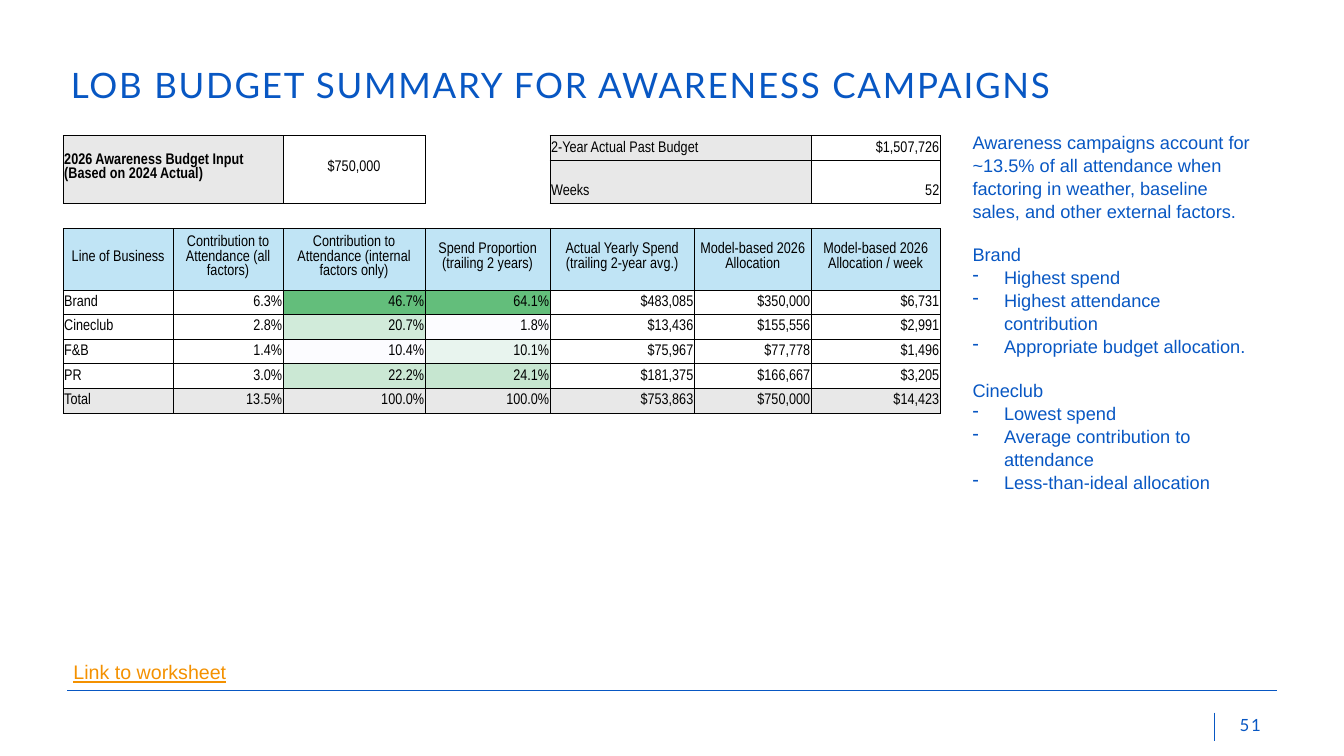
from lxml import etree
from pptx import Presentation
from pptx.dml.color import RGBColor
from pptx.enum.shapes import MSO_CONNECTOR
from pptx.enum.text import MSO_ANCHOR, PP_ALIGN
from pptx.oxml.ns import qn
from pptx.util import Pt

LEFT, MID, RIGHT, JUST = PP_ALIGN.LEFT, PP_ALIGN.CENTER, PP_ALIGN.RIGHT, PP_ALIGN.JUSTIFY
CENTER, LOW, TOP = MSO_ANCHOR.MIDDLE, MSO_ANCHOR.BOTTOM, MSO_ANCHOR.TOP
STRAIGHT = MSO_CONNECTOR.STRAIGHT
PLAIN = "{2D5ABB26-0587-4C30-8999-92F81FD0307C}"

# Content
COLORS = {"blue": "0857C3", "link": "F49100", "ink": "000000", "white": "FFFFFF",
          "gray": "E8E8E8", "head": "C0E4F5"}
TITLE = "LOB BUDGET SUMMARY FOR AWARENESS CAMPAIGNS"
LINK = "Link to worksheet"
PAGE = "51"
INTRO = ("Awareness campaigns account for ~13.5% of all attendance when factoring in "
         "weather, baseline sales, and other external factors.")
NOTES = [
    (INTRO, []),
    ("Brand", ["Highest spend", "Highest attendance contribution",
               "Appropriate budget allocation."]),
    ("Cineclub", ["Lowest spend", "Average contribution to attendance",
                  "Less-than-ideal allocation"]),
]
ROWS = [
    ["2026 Awareness Budget Input\n(Based on 2024 Actual)", "", "$750,000", "",
     "2-Year Actual Past Budget", "", "$1,507,726"],
    ["", "", "", "", "Weeks", "", "52"],
    [""] * 7,
    ["Line of Business", "Contribution to Attendance (all factors)",
     "Contribution to Attendance (internal factors only)",
     "Spend Proportion (trailing 2 years)",
     "Actual Yearly Spend (trailing 2-year avg.)",
     "Model-based 2026 Allocation", "Model-based 2026 Allocation / week"],
    ["Brand", "6.3%", "46.7%", "64.1%", "$483,085", "$350,000", "$6,731"],
    ["Cineclub", "2.8%", "20.7%", "1.8%", "$13,436", "$155,556", "$2,991"],
    ["F&B", "1.4%", "10.4%", "10.1%", "$75,967", "$77,778", "$1,496"],
    ["PR", "3.0%", "22.2%", "24.1%", "$181,375", "$166,667", "$3,205"],
    ["Total", "13.5%", "100.0%", "100.0%", "$753,863", "$750,000", "$14,423"],
]
HEAT = {(4, 2): "63BE7B", (4, 3): "63BE7B", (5, 2): "D1EBDA", (5, 3): "FCFCFF",
        (6, 2): "FCFCFF", (6, 3): "E8F4EE", (7, 2): "CBE8D4", (7, 3): "C6E6D0"}
WIDTHS = [78.5, 78.5, 101.5, 89.3, 103, 83.5, 92.2]
HEIGHTS = [17.8, 30.8, 17.8, 43.6] + [17.6] * 5
MERGES = [(0, 0, 1, 1), (0, 2, 1, 2), (0, 4, 0, 5), (1, 4, 1, 5)]
GAPS = {(0, 3), (1, 3)} | {(2, c) for c in range(7)}
HEAD, TOTAL = 3, 8

deck = Presentation()
deck.slide_width, deck.slide_height = Pt(960), Pt(540)
slide = deck.slides.add_slide(deck.slide_layouts[6])


def rgb(name):
    return RGBColor.from_string(COLORS.get(name, name))


def style(par, size, face, color):
    par.font.size, par.font.name = Pt(size), face
    par.font.color.rgb = rgb(color)


def add_box(x, y, w, h, anchor=TOP, wrap=True):
    frame = slide.shapes.add_textbox(Pt(x), Pt(y), Pt(w), Pt(h)).text_frame
    frame.word_wrap, frame.vertical_anchor = wrap, anchor
    return frame


def add_label(frame, text, size, face, color, track=0):
    par = frame.paragraphs[0]
    par.text = text
    style(par, size, face, color)
    if track:
        par.runs[0]._r.get_or_add_rPr().set("spc", str(track))
    return par


def add_rule(x1, y1, x2, y2):
    rule = slide.shapes.add_connector(STRAIGHT, Pt(x1), Pt(y1), Pt(x2), Pt(y2))
    rule.line.color.rgb, rule.line.width = rgb("blue"), Pt(0.75)
    etree.SubElement(rule._element.spPr, qn("a:effectLst"))


# Table cells: a merged block shares one owner, a gap has none
def owner(r, c):
    if (r, c) in GAPS or not (0 <= r < len(ROWS) and 0 <= c < len(WIDTHS)):
        return None
    for r1, c1, r2, c2 in MERGES:
        if r1 <= r <= r2 and c1 <= c <= c2:
            return r1, c1
    return r, c


def fill_of(r, c):
    if (r, c) in GAPS:
        return "white"
    if r == HEAD:
        return "head"
    if r == TOTAL or r < 2 and c in (0, 1, 4, 5):
        return "gray"
    return HEAT.get((r, c), "white")


def add_edges(cell, r, c):
    sides = [("L", r, c - 1), ("R", r, c + 1), ("T", r - 1, c), ("B", r + 1, c)]
    for i, (side, r2, c2) in enumerate(sides):
        shown = cell.is_merge_origin or owner(r, c) != owner(r2, c2)
        thick = {r, r2} == {HEAD - 1, HEAD} and 2 <= c <= 5
        width = 1 if thick else 0.75 if r < 2 else 0.5
        line = etree.Element(qn("a:ln" + side), w=str(Pt(width)))
        if shown:
            paint = etree.SubElement(line, qn("a:solidFill"))
            etree.SubElement(paint, qn("a:srgbClr"), val=COLORS["ink"])
        else:
            etree.SubElement(line, qn("a:noFill"))
        cell._tc.get_or_add_tcPr().insert(i, line)


def fill_cell(cell, r, c, text):
    cell.margin_left = cell.margin_top = cell.margin_right = Pt(0.7)
    cell.margin_bottom = Pt(3.6)
    cell.fill.solid()
    cell.fill.fore_color.rgb = rgb(fill_of(r, c))
    add_edges(cell, r, c)
    if not text:
        etree.SubElement(cell.text_frame.paragraphs[0]._p, qn("a:endParaRPr"), sz="1100")
        return
    cell.text_frame.text = text
    mid = r == HEAD or r == 0 and c in (0, 2)
    cell.vertical_anchor = CENTER if mid else LOW
    for par in cell.text_frame.paragraphs:
        if r == HEAD or (r, c) == (0, 2):
            par.alignment = MID
        else:
            par.alignment = LEFT if c == 0 or r < 2 and c == 4 else RIGHT
        style(par, 11, "Arial Narrow", "ink")
        par.font.bold = (r, c) == (0, 0)


# Footer rules and page number
add_rule(867.6, 509, 867.6, 529.2)
add_rule(48.2, 493.2, 912.2, 493.2)
add_label(add_box(878.4, 506.9, 31.7, 21.6, wrap=False), PAGE, 12, "Lato", "blue", 130)

# Title and link
add_label(add_box(43.5, 23, 857, 74, CENTER), TITLE, 25, "Lato", "blue", 130)
link = add_label(add_box(45.4, 468, 173.5, 24.5), LINK, 14, "Arial", "link")
link.alignment, link.font.underline = JUST, True

# Budget table
table = slide.shapes.add_table(len(ROWS), len(WIDTHS), Pt(45.2), Pt(96.8),
                               Pt(sum(WIDTHS)), Pt(sum(HEIGHTS))).table
table.first_row = table.horz_banding = False
table._tbl.tblPr.find(qn("a:tableStyleId")).text = PLAIN
for col, width in zip(table.columns, WIDTHS):
    col.width = Pt(width)
for row, height in zip(table.rows, HEIGHTS):
    row.height = Pt(height)
for r1, c1, r2, c2 in MERGES:
    table.cell(r1, c1).merge(table.cell(r2, c2))
for r, texts in enumerate(ROWS):
    for c, text in enumerate(texts):
        fill_cell(table.cell(r, c), r, c, text)

# Side notes
notes = add_box(687.6, 89.3, 214, 291)
for i, (lead, points) in enumerate(NOTES):
    for j, text in enumerate([lead] + points):
        par = notes.add_paragraph() if i or j else notes.paragraphs[0]
        par.text, par.line_spacing = text, 1.05
        if j:
            props = par._p.get_or_add_pPr()
            props.set("marL", str(Pt(22.5)))
            props.set("indent", str(-Pt(22.5)))
            etree.SubElement(props, qn("a:buChar"), char="-")
        elif i:
            par.space_before = Pt(15)
        style(par, 13, "Arial", "blue")

deck.save("out.pptx")
